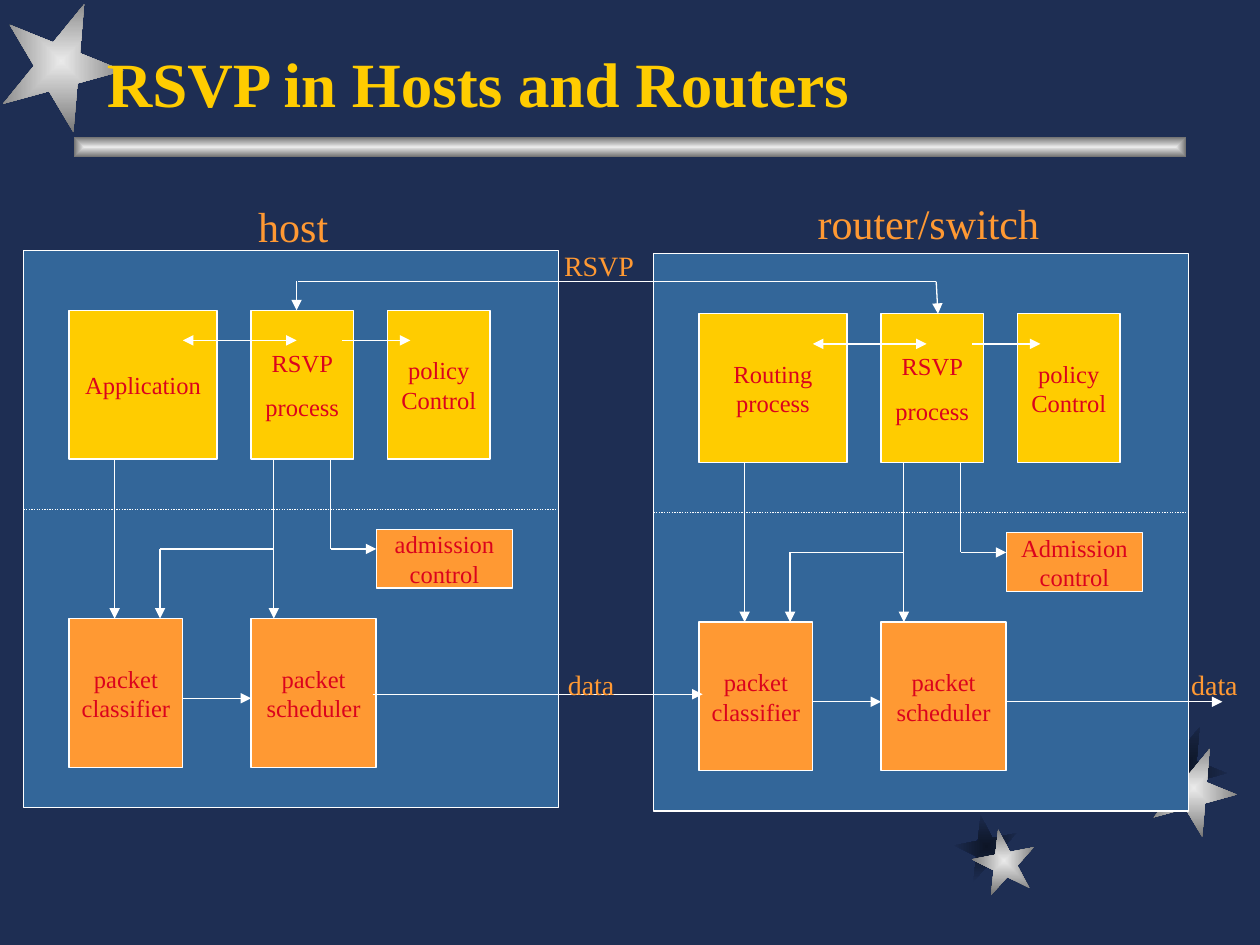
"""Build the slide showing RSVP components in a host and in a router."""
from lxml.etree import SubElement
from pptx import Presentation
from pptx.dml.color import RGBColor
from pptx.enum.dml import MSO_LINE
from pptx.enum.shapes import MSO_CONNECTOR, MSO_SHAPE
from pptx.enum.text import MSO_ANCHOR, MSO_AUTO_SIZE, PP_ALIGN
from pptx.oxml.ns import qn
from pptx.util import Pt

FONT = "Times New Roman"
NAVY, BLUE, WHITE = "1E2E53", "336699", "FFFFFF"
YELLOW, ORANGE, RED = "FFCC00", "FF9933", "DB031D"
SILVER = ("EAEAEA", "6B6B6B")
SHADE = ("0D1526", NAVY)

DECORATIONS = [
    (MSO_SHAPE.STAR_5_POINT, (545.8, 465.8, 36, 36), 349, SHADE),
    (MSO_SHAPE.STAR_5_POINT, (652.3, 414, 48.2, 48.2), 22, SHADE),
    (MSO_SHAPE.STAR_5_POINT, (555.8, 473.8, 36, 36), 349, SILVER),
    (MSO_SHAPE.STAR_5_POINT, (658.1, 426.2, 48.2, 48.2), 22, SILVER),
    (MSO_SHAPE.RECTANGLE, (42, 78, 636, 12), 0, SILVER),
    (MSO_SHAPE.STAR_5_POINT, (0, 0, 70, 70), 22, SILVER),
]
PANEL = (13.5, 143, 305.5, 318.5)
PANEL_OFFSETS = [(0, 0), (360, 2)]
PANEL_TEXTS = [
    {"source": ["Application"], "admission": ["admission control"]},
    {"source": ["Routing process"], "admission": ["Admission control"]},
]
BOXES = [
    ("source", (39.5, 177.3, 84.5, 85), YELLOW),
    (["RSVP", "process"], (143.5, 177.3, 58.5, 85), YELLOW),
    (["policy Control"], (221.5, 177.3, 58.5, 85), YELLOW),
    (["packet classifier"], (39.5, 353.5, 65, 85), ORANGE),
    (["packet scheduler"], (143.5, 353.5, 71.5, 85), ORANGE),
    ("admission", (215, 302.5, 78, 33.5), ORANGE),
]
PANEL_LINES = [
    ((13.5, 291), (319, 291), "dotted"),
    ((65.5, 262.5), (65.5, 353.5), "end"),
    ((156.5, 262.5), (156.5, 353.5), "end"),
    ((156.5, 313.7), (91.5, 313.7), "plain"),
    ((91.5, 313.7), (91.5, 353.5), "end"),
    ((189, 262.5), (189, 313.7), "plain"),
    ((189, 313.7), (215, 313.7), "end"),
    ((104.5, 194.5), (169.5, 194.5), "both"),
    ((195.5, 194.5), (234.5, 194.5), "end"),
    ((104.5, 399), (143.5, 399), "end"),
]
LINKS = [
    ((169.5, 160.5), (169.5, 177.3), "end"),
    ((535, 161), (536, 179.3), "end"),
    ((170.5, 161), (535, 161), "plain"),
    ((213, 396.7), (401.5, 396.7), "end"),
    ((575, 401), (698.5, 401), "end"),
]
LABELS = [
    ("RSVP", (312.3, 138.3, 60, 26.6), 16),
    ("data", (311.8, 378, 52, 26.6), 16),
    ("data", (668, 378, 52, 26.6), 16),
    ("host", (137.5, 111, 60, 36), 24),
    ("router/switch", (459, 109, 143, 36), 24),
]


def color(value):
    return RGBColor.from_string(value)


def shift(position, offset):
    return (position[0] + offset[0], position[1] + offset[1], *position[2:])


def points(values):
    return [Pt(value) for value in values]


def write(shape, texts, size, ink, bold=False, alignment=PP_ALIGN.CENTER, space=0):
    frame = shape.text_frame
    frame.text = "\n".join(texts)
    for index, paragraph in enumerate(frame.paragraphs):
        paragraph.alignment = alignment
        if index:
            paragraph.space_before = Pt(space)
        font = paragraph.font
        font.name, font.size, font.bold = FONT, Pt(size), bold
        font.color.rgb = color(ink)
    return frame


def add_decoration(slide, kind, position, rotation, stops):
    shape = slide.shapes.add_shape(kind, *points(position))
    shape.shadow.inherit = False
    shape.rotation = rotation
    shape.line.fill.background()
    shape.fill.gradient()
    for stop, value in zip(shape.fill.gradient_stops, stops):
        stop.color.rgb = color(value)
    gradient = shape._element.spPr.find(qn("a:gradFill"))
    gradient.remove(gradient.find(qn("a:lin")))
    focus = SubElement(gradient, qn("a:path"), path="rect")
    sides = dict.fromkeys("ltrb", "50000")
    SubElement(focus, qn("a:fillToRect"), **sides)


def add_box(slide, position, fill):
    shape = slide.shapes.add_shape(MSO_SHAPE.RECTANGLE, *points(position))
    shape.shadow.inherit = False
    shape.fill.solid()
    shape.fill.fore_color.rgb = color(fill)
    shape.line.color.rgb = color(WHITE)
    shape.line.width = Pt(0.75)
    return shape


def add_component(slide, texts, position, fill):
    frame = write(add_box(slide, position, fill), texts, 14, RED, space=8.8)
    frame.word_wrap = True
    frame.vertical_anchor = MSO_ANCHOR.MIDDLE
    frame.margin_left = frame.margin_right = Pt(3)
    frame.margin_top = frame.margin_bottom = 0


def add_line(slide, start, end, style):
    connector = slide.shapes.add_connector(
        MSO_CONNECTOR.STRAIGHT, *points(start + end))
    connector.line.color.rgb = color(WHITE)
    connector.line.width = Pt(0.75)
    if style == "dotted":
        connector.line.dash_style = MSO_LINE.ROUND_DOT
    properties = connector._element.spPr
    outline = properties.find(qn("a:ln"))
    if style == "both":
        SubElement(outline, qn("a:headEnd"), type="triangle")
    if style in ("both", "end"):
        SubElement(outline, qn("a:tailEnd"), type="triangle")
    SubElement(properties, qn("a:effectLst"))


def main():
    presentation = Presentation()
    presentation.slide_width, presentation.slide_height = Pt(720), Pt(540)
    slide = presentation.slides.add_slide(presentation.slide_layouts[6])
    slide.background.fill.solid()
    slide.background.fill.fore_color.rgb = color(NAVY)

    for decoration in DECORATIONS:
        add_decoration(slide, *decoration)
    for offset in PANEL_OFFSETS:
        add_box(slide, shift(PANEL, offset), BLUE)

    title = slide.shapes.add_textbox(*points((54, 18, 612, 54)))
    frame = write(title, ["RSVP in Hosts and Routers"], 36, YELLOW,
                  bold=True, alignment=PP_ALIGN.LEFT)
    frame.word_wrap = True
    frame.vertical_anchor = MSO_ANCHOR.BOTTOM

    for offset, names in zip(PANEL_OFFSETS, PANEL_TEXTS):
        for texts, position, fill in BOXES:
            if isinstance(texts, str):
                texts = names[texts]
            add_component(slide, texts, shift(position, offset), fill)
        for start, end, style in PANEL_LINES:
            add_line(slide, shift(start, offset), shift(end, offset), style)
    for link in LINKS:
        add_line(slide, *link)
    for text, position, size in LABELS:
        label = slide.shapes.add_textbox(*points(position))
        frame = write(label, [text], size, ORANGE)
        frame.word_wrap = False
        frame.auto_size = MSO_AUTO_SIZE.SHAPE_TO_FIT_TEXT
        frame.vertical_anchor = MSO_ANCHOR.MIDDLE

    presentation.save("out.pptx")


if __name__ == "__main__":
    main()
